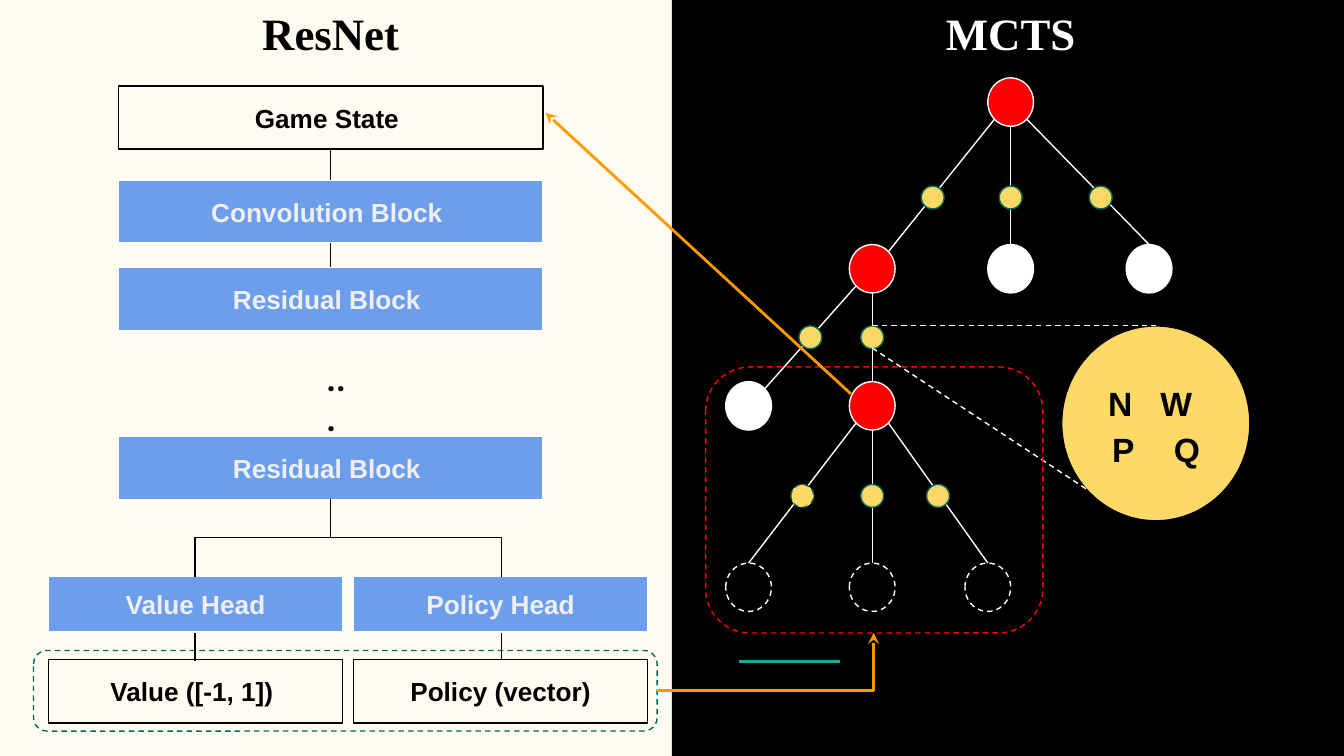
import math
import pptx
import pptx.util
import pptx.dml.color
import pptx.enum.dml
import pptx.enum.shapes
import pptx.enum.text
import pptx.oxml
import pptx.oxml.ns
from lxml import etree

Inches, Pt = pptx.util.Inches, pptx.util.Pt
SHAPE = pptx.enum.shapes.MSO_SHAPE
CONNECTOR = pptx.enum.shapes.MSO_CONNECTOR
ANCHOR = pptx.enum.text.MSO_ANCHOR
ALIGN = pptx.enum.text.PP_ALIGN
qn = pptx.oxml.ns.qn

C = {"cream": "FFFBF0", "black": "000000", "white": "FFFFFF", "blue": "6D9EEB",
     "pale": "EFEFEF", "red": "FF0000", "yellow": "FFD966", "green": "00695C",
     "teal": "26A69A", "orange": "FF9900"}

# Content: network blocks as (text, left, top, width, height, filled)
BLOCKS = [
    ("Game State ", 0.88, 0.64, 3.16, 0.47, False),
    ("Convolution Block ", 0.88, 1.34, 3.16, 0.47, True),
    ("Residual Block ", 0.88, 1.99, 3.16, 0.47, True),
    ("Residual Block ", 0.88, 3.25, 3.16, 0.47, True),
    ("Value Head", 0.36, 4.29, 2.19, 0.41, True),
    ("Policy Head", 2.63, 4.29, 2.19, 0.41, True),
    ("Value ([-1, 1]) ", 0.36, 4.91, 2.19, 0.47, False),
    ("Policy (vector)", 2.63, 4.91, 2.19, 0.47, False),
]
BLOCK_LINKS = [(2.46, 1.11, 1.34), (2.46, 1.81, 1.99), (1.45, 4.71, 4.92), (3.73, 4.71, 4.9)]

# Content: tree nodes as name: (centre x, centre y, style)
NODES = {
    "root": (7.52, 0.76, "red"),
    "left": (6.49, 2.0, "red"),
    "middle": (7.52, 2.0, "white"),
    "right": (8.55, 2.0, "white"),
    "left_a": (5.57, 3.02, "white"),
    "left_b": (6.49, 3.02, "red"),
    "new_a": (5.57, 4.37, None),
    "new_b": (6.49, 4.37, None),
    "new_c": (7.35, 4.37, None),
}
# Edges as (parent, angle leaving it, child, angle entering it), clockwise from east
EDGES = [
    ("root", 135, "left", 315), ("root", 90, "middle", 270), ("root", 45, "right", 270),
    ("left", 135, "left_a", 315), ("left", 90, "left_b", 270),
    ("left_b", 135, "new_a", 270), ("left_b", 90, "new_b", 270), ("left_b", 45, "new_c", 270),
]
# Edge statistics as (centre y, centre xs)
BEAD_ROWS = [(1.47, (6.94, 7.52, 8.19)), (2.51, (6.03, 6.49)), (3.69, (5.97, 6.49, 6.98))]
# Letters in the enlarged bead, with the indent and tab stop of each line
STATISTICS = [("N\tW", 0, 0.39), ("P\tQ", 0.03, 0.46)]

NODE_W, NODE_H, BEAD = 0.34, 0.36, 0.17

prs = pptx.Presentation()
prs.slide_width = Inches(10)
prs.slide_height = prs.slide_width * 9 // 16
s = prs.slides.add_slide(prs.slide_layouts[5])


def rgb(name):
    return pptx.dml.color.RGBColor.from_string(C[name])


def write(sp, text, size=14, color="black", font="Arial", align=ALIGN.CENTER,
          anchor=ANCHOR.MIDDLE, spacing=None):
    tf = sp.text_frame
    tf.word_wrap = True
    tf.auto_size = pptx.enum.text.MSO_AUTO_SIZE.NONE
    tf.vertical_anchor = anchor
    tf.margin_left = tf.margin_right = tf.margin_top = tf.margin_bottom = Inches(0.1)
    for i, content in enumerate(text.split("\n")):
        p = tf.add_paragraph() if i else tf.paragraphs[0]
        p.alignment = align
        if spacing:
            p.line_spacing = spacing
        r = p.add_run()
        r.text = content
        r.font.size, r.font.bold, r.font.name = Pt(size), True, font
        r.font.color.rgb = rgb(color)
    return tf


def stroke(line, color, width=0.75, dash=False):
    line.color.rgb = rgb(color)
    line.width = Pt(width)
    if dash:
        line.dash_style = pptx.enum.dml.MSO_LINE.DASH


def shape(kind, x, y, w, h, fill=None, line=None, dash=False):
    sp = s.shapes.add_shape(kind, Inches(x), Inches(y), Inches(w), Inches(h))
    sp.shadow.inherit = False
    if fill:
        sp.fill.solid()
        sp.fill.fore_color.rgb = rgb(fill)
    else:
        sp.fill.background()
    if line:
        stroke(sp.line, line, dash=dash)
    else:
        sp.line.fill.background()
    return sp


def oval(cx, cy, w, h, **style):
    return shape(SHAPE.OVAL, cx - w / 2, cy - h / 2, w, h, **style)


def connect(x1, y1, x2, y2, color, width=0.75, dash=False, arrow=False,
            kind=CONNECTOR.STRAIGHT):
    cxn = s.shapes.add_connector(kind, Inches(x1), Inches(y1), Inches(x2), Inches(y2))
    stroke(cxn.line, color, width, dash)
    if arrow:
        etree.SubElement(cxn.line._get_or_add_ln(), qn("a:headEnd"), type="stealth")
    etree.SubElement(cxn._element.spPr, qn("a:effectLst"))
    return cxn


def elbow(x1, y1, x2, y2, color, preset="bentConnector3", **style):
    """A bent connector that leaves its start downwards."""
    w, h = abs(x2 - x1), y2 - y1
    left, top = (x1 + x2 - h) / 2, (y1 + y2 - w) / 2
    cxn = connect(left, top, left + h, top + w, color, kind=CONNECTOR.ELBOW, **style)
    xfrm = cxn._element.spPr.find(qn("a:xfrm"))
    xfrm.set("rot", str((90 if x2 < x1 else 270) * 60000))
    if x2 > x1:
        xfrm.set("flipH", "1")
    cxn._element.spPr.find(qn("a:prstGeom")).set("prst", preset)


def rim(name, angle):
    x, y, _ = NODES[name]
    a = math.radians(angle)
    return x + NODE_W / 2 * math.cos(a), y + NODE_H / 2 * math.sin(a)


def text_box(x, y, w, h):
    return s.shapes.add_textbox(Inches(x), Inches(y), Inches(w), Inches(h))


# Background halves and accent line
s.background.fill.solid()
s.background.fill.fore_color.rgb = rgb("cream")
panel = shape(SHAPE.RECTANGLE, 5, 0, 5, 5.62, fill="black")
panel.height = prs.slide_height
connect(5.5, 4.92, 6.25, 4.92, "teal", 1.5)

# Titles
title = s.shapes.title
title.left, title.top, title.width, title.height = map(Inches, (0.25, 0.13, 4.42, 0.41))
for sp, text, color in ((title, "ResNet", "black"),
                        (text_box(5.31, 0.13, 4.42, 0.41), "MCTS", "white")):
    write(sp, text, size=24, color=color, font="Times New Roman", anchor=ANCHOR.BOTTOM)

# Network blocks
for text, x, y, w, h, filled in BLOCKS:
    sp = shape(SHAPE.RECTANGLE, x, y, w, h, fill="blue" if filled else None,
               line="white" if filled else "black")
    write(sp, text, color="pale" if filled else "black")
write(text_box(2.33, 2.56, 0.41, 0.31), "...", size=18, font="Roboto",
      align=ALIGN.LEFT, anchor=ANCHOR.TOP)
for x, y1, y2 in BLOCK_LINKS:
    connect(x, y1, x, y2, "black")
for head_x in (1.45, 3.73):
    elbow(2.46, 3.71, head_x, 4.29, "black")

# Search tree
for x, y, fill in NODES.values():
    oval(x, y, NODE_W, NODE_H, fill=fill, line="white", dash=fill is None)
for parent, leave, child, enter in EDGES:
    connect(*rim(parent, leave), *rim(child, enter), "white")
for y, xs in BEAD_ROWS:
    for x in xs:
        oval(x, y, BEAD, BEAD, fill="yellow", line="green", dash=(x == 5.97))

# Enlarged bead with its statistics
sp = oval(8.6, 3.15, 1.4, 1.45, fill="yellow", line="black")
tf = write(sp, "\n".join(text for text, _, _ in STATISTICS), size=18,
           align=ALIGN.LEFT, spacing=1.15)
tf.margin_left = Inches(0.14)
for p, (_, indent, stop) in zip(tf.paragraphs, STATISTICS):
    pPr = p._p.get_or_add_pPr()
    pPr.set("marL", str(Inches(indent)))
    tabs = etree.SubElement(pPr, qn("a:tabLst"))
    etree.SubElement(tabs, qn("a:tab"), pos=str(Inches(stop)), algn="l")
connect(6.49, 2.42, 8.6, 2.42, "white", dash=True)
connect(6.49, 2.59, 8.1, 3.65, "white", dash=True)

# Dashed groups and the arrows between network and tree
shape(SHAPE.ROUNDED_RECTANGLE, 5.25, 2.73, 2.51, 1.98, line="red", dash=True)
shape(SHAPE.ROUNDED_RECTANGLE, 0.25, 4.84, 4.64, 0.6, line="green", dash=True)
elbow(6.5, 4.71, 4.89, 5.14, "orange", preset="bentConnector2", width=1.5, arrow=True)
connect(4.06, 0.84, 6.33, 2.93, "orange", 1.5, arrow=True)

prs.save("out.pptx")
